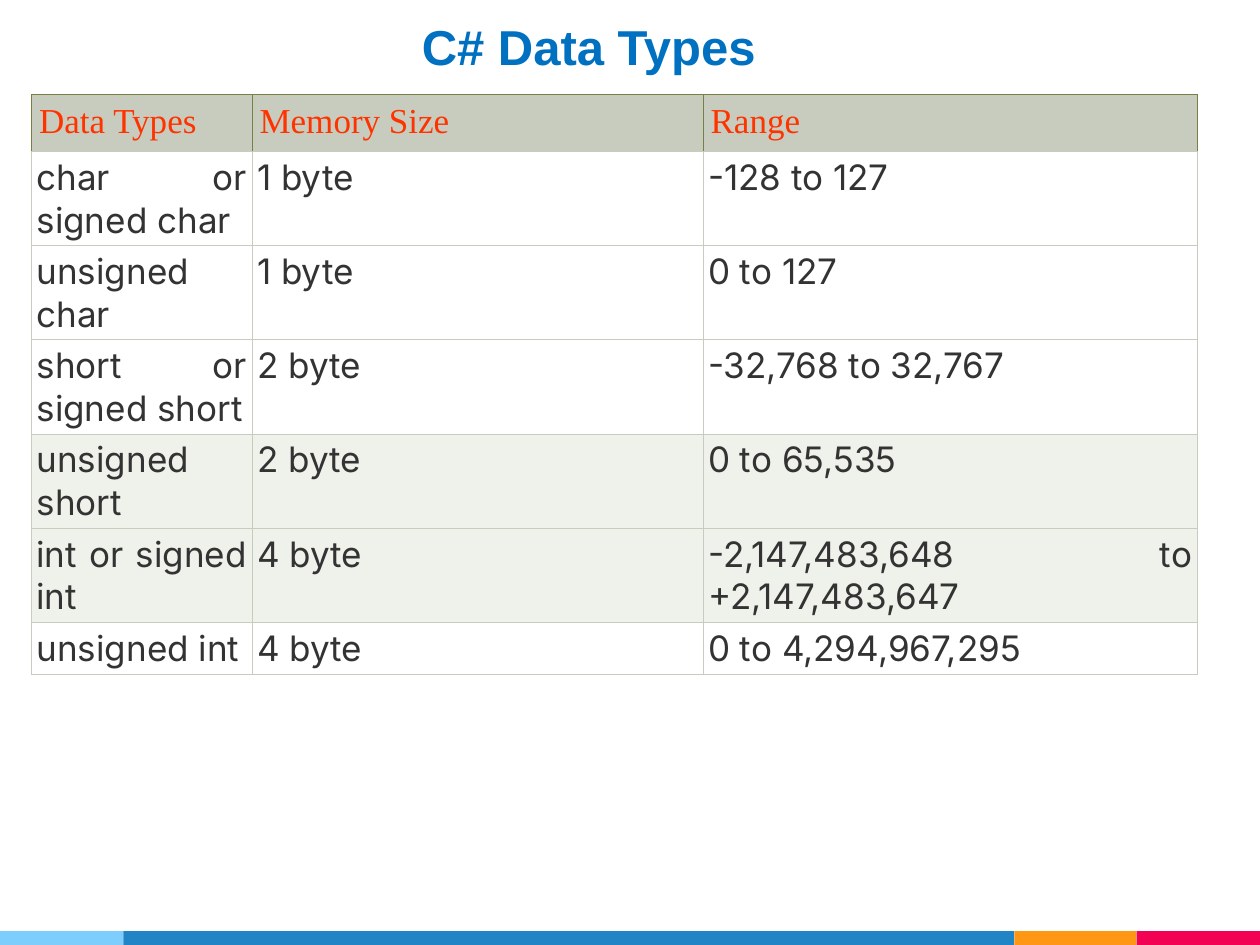
import pptx
import pptx.dml.color
import pptx.enum.shapes
import pptx.enum.text
import pptx.oxml
import pptx.oxml.ns
import pptx.util
from pptx.util import Inches

THEME = {
    "title": {"name": "Arial", "size": pptx.util.Pt(28), "bold": True, "color": "0070C0"},
    "header": {"name": "Times New Roman", "size": pptx.util.Pt(20), "bold": False, "color": "FF3300"},
    "body": {"name": "Inter", "size": pptx.util.Pt(20), "bold": False, "color": "333333"},
    "header_fill": "C7CCBE",
    "plain_fill": "FFFFFF",
    "band_fill": "EFF1EB",
    "grid": "C7CCBE",
    "header_grid": "787F44",
    "stripes": ["7ECEFD", "2185C5", "FF9715", "F20253"],
}
JUSTIFY = pptx.enum.text.PP_ALIGN.JUSTIFY


def write(frame, text, style, align=None):
    para = frame.paragraphs[0]
    para.alignment = align
    span = para.add_run()
    span.text = text
    for key, value in THEME[style].items():
        if key == "color":
            span.font.color.rgb = pptx.dml.color.RGBColor.from_string(value)
        else:
            setattr(span.font, key, value)


def add_border(cell, side, color):
    cell._tc.get_or_add_tcPr().append(pptx.oxml.parse_xml(
        f'<a:ln{side} {pptx.oxml.ns.nsdecls("a")} w="{pptx.util.Pt(0.6)}">'
        f'<a:solidFill><a:srgbClr val="{color}"/></a:solidFill></a:ln{side}>'))


deck = pptx.Presentation()
deck.slide_width, deck.slide_height = Inches(10), Inches(7.5)
page = deck.slides.add_slide(deck.slide_layouts[6])

# Stripes along the bottom edge
left = 0
for width, color in zip([0.98, 7.07, 0.97, 0.98], THEME["stripes"]):
    stripe = page.shapes.add_shape(
        pptx.enum.shapes.MSO_SHAPE.RECTANGLE,
        Inches(left), Inches(7.39), Inches(width), Inches(0.11))
    stripe.shadow.inherit = False
    stripe.fill.solid()
    stripe.fill.fore_color.rgb = pptx.dml.color.RGBColor.from_string(color)
    stripe.line.fill.background()
    left += width

# Title
box = page.shapes.add_textbox(Inches(3.25), Inches(0.08), Inches(5), Inches(0.57))
box.text_frame.word_wrap = True
box.text_frame.auto_size = pptx.enum.text.MSO_AUTO_SIZE.SHAPE_TO_FIT_TEXT
write(box.text_frame, "C# Data Types", "title", JUSTIFY)

# Table of data types
rows = [
    ("Data Types", "Memory Size", "Range"),
    ("char or signed char", "1 byte", "-128 to 127"),
    ("unsigned char", "1 byte", "0 to 127"),
    ("short or signed short", "2 byte", "-32,768 to 32,767"),
    ("unsigned short", "2 byte", "0 to 65,535"),
    ("int or signed int", "4 byte", "-2,147,483,648 to +2,147,483,647"),
    ("unsigned int", "4 byte", "0 to 4,294,967,295"),
]
banded_rows = (4, 5)
row_heights = [0.45] + [0.74] * 5 + [0.41]
column_widths = [1.75, 3.58, 3.92]
table = page.shapes.add_table(
    len(rows), len(column_widths), Inches(0.25), Inches(0.75),
    Inches(sum(column_widths)), Inches(sum(row_heights))).table
for column, width in zip(table.columns, column_widths):
    column.width = Inches(width)

for r, (texts, height) in enumerate(zip(rows, row_heights)):
    table.rows[r].height = Inches(height)
    is_header = r == 0
    if is_header:
        fill = THEME["header_fill"]
    else:
        fill = THEME["band_fill"] if r in banded_rows else THEME["plain_fill"]
    for c, text in enumerate(texts):
        cell = table.cell(r, c)
        for side in ("left", "right", "top", "bottom"):
            setattr(cell, f"margin_{side}", Inches(0.06 if is_header else 0.04))
        for side in "LRTB":
            header_line = is_header and side != "B"
            add_border(cell, side, THEME["header_grid" if header_line else "grid"])
        cell.fill.solid()
        cell.fill.fore_color.rgb = pptx.dml.color.RGBColor.from_string(fill)
        write(cell.text_frame, text, "header" if is_header else "body",
              None if is_header else JUSTIFY)

deck.save("out.pptx")
